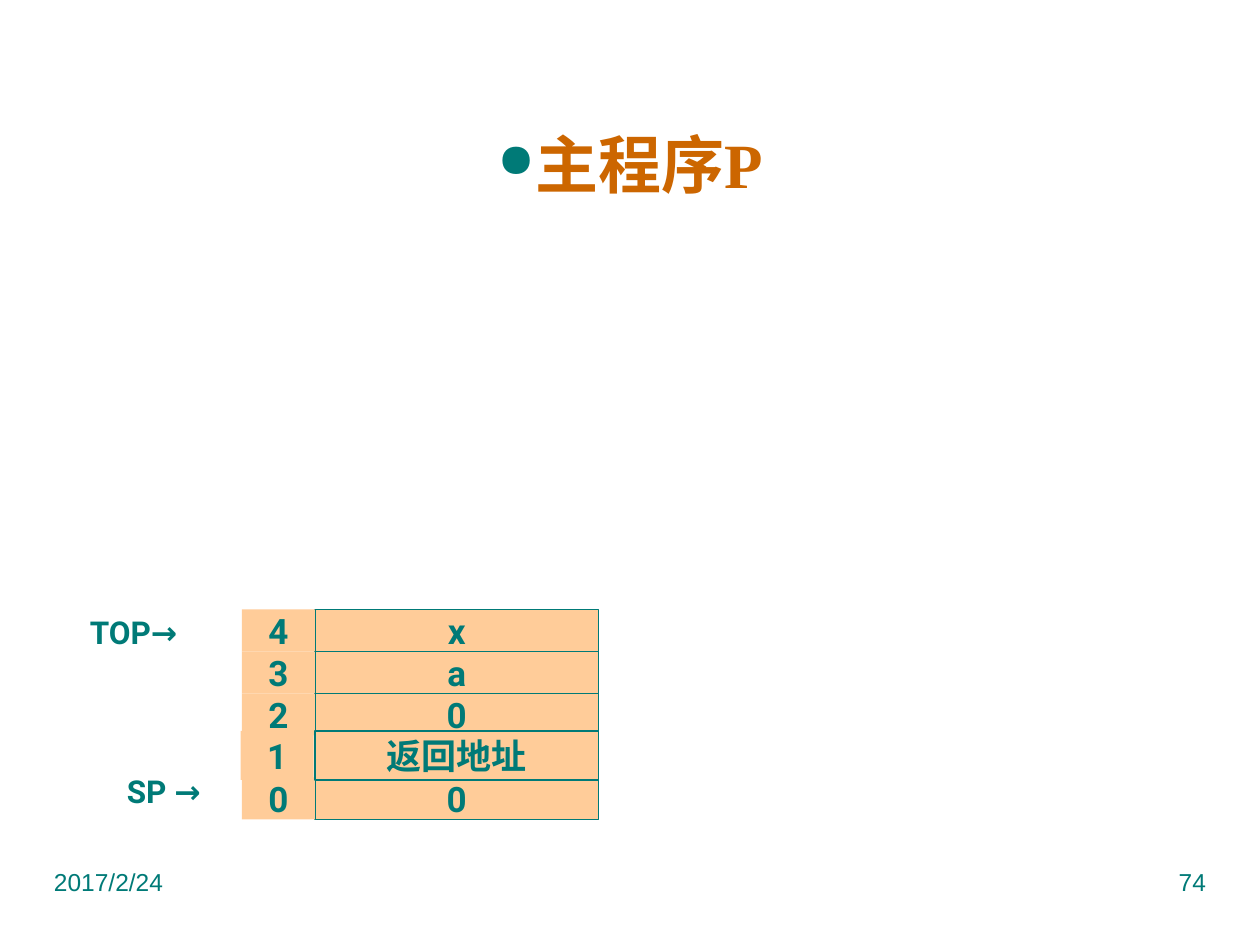
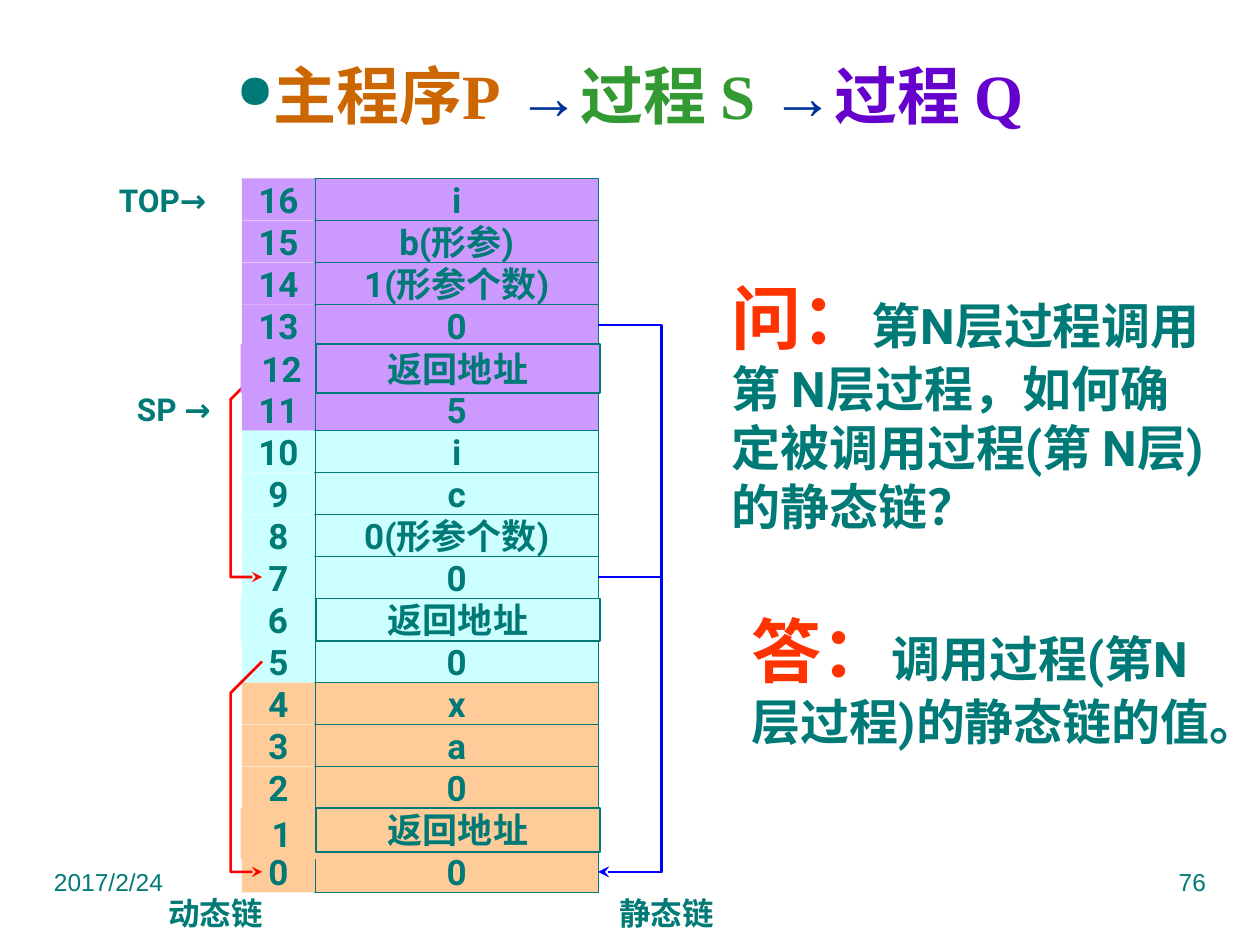
import pptx
import pptx.dml.color
import pptx.enum.shapes
import pptx.enum.text
import pptx.oxml
import pptx.oxml.ns
import pptx.util
from pptx.util import Inches

RGBColor = pptx.dml.color.RGBColor
ALIGN = pptx.enum.text.PP_ALIGN
ANCHOR = pptx.enum.text.MSO_ANCHOR

TEAL = RGBColor(0x00, 0x7A, 0x77)
PEACH = RGBColor(0xFF, 0xCC, 0x99)
AQUA = RGBColor(0xCC, 0xFF, 0xFF)
LILAC = RGBColor(0xCC, 0x99, 0xFF)
ORANGE = RGBColor(0xCC, 0x66, 0x00)
NAVY = RGBColor(0x00, 0x33, 0x99)
GREEN = RGBColor(0x33, 0x99, 0x33)
PURPLE = RGBColor(0x66, 0x00, 0xCC)
SCARLET = RGBColor(0xFF, 0x33, 0x00)
RED = RGBColor(0xFF, 0x00, 0x00)
BLUE = RGBColor(0x00, 0x00, 0xFF)

DATE = "2017/2/24"
RETURN_ADDRESS = "返回地址"
ROW_HEIGHT = 1 / 3
MAIN_FRAME = ["0", RETURN_ADDRESS, "0", "a", "x"]
S_FRAME = ["0", RETURN_ADDRESS, "0", "0(形参个数)", "c", "i"]
Q_FRAME = ["5", RETURN_ADDRESS, "0", "1(形参个数)", "b(形参)", "i"]


def write(para, text, size=20, color=TEAL, font="Roboto", bold=True):
    span = para.add_run()
    span.text = text
    span.font.size = pptx.util.Pt(size)
    span.font.name = font
    span.font.bold = bold
    span.font.color.rgb = color


def add_child(parent, tag, **attributes):
    child = pptx.oxml.parse_xml(f"<a:{tag} {pptx.oxml.ns.nsdecls('a')}/>")
    for name, value in attributes.items():
        child.set(name, value)
    parent.append(child)
    return child


class Page:
    def __init__(self, deck, number):
        self.slide = deck.slides.add_slide(deck.slide_layouts[5])
        self.shapes = self.slide.shapes
        self.text(DATE, 0.33, 6.83, 2.5, 0.52, size=14, font="Arial", bold=False)
        self.text(number, 7.17, 6.83, 2.5, 0.52, align=ALIGN.RIGHT,
                  size=14, font="Arial", bold=False)

    def title(self, parts, left, top, width, height):
        box = self.shapes.title
        box.left, box.top = Inches(left), Inches(top)
        box.width, box.height = Inches(width), Inches(height)
        frame = box.text_frame
        frame.auto_size = pptx.enum.text.MSO_AUTO_SIZE.NONE
        frame.vertical_anchor = ANCHOR.MIDDLE
        para = frame.paragraphs[0]
        para.alignment = ALIGN.CENTER
        properties = para._p.get_or_add_pPr()
        add_child(add_child(properties, "buClr"), "srgbClr", val=str(TEAL))
        add_child(properties, "buSzPct", val="75000")
        add_child(properties, "buChar", char="●")
        for text, color in parts:
            write(para, text, size=36, color=color, font="Times New Roman")

    def text(self, text, left, top, width, height, align=ALIGN.LEFT,
             anchor=ANCHOR.TOP, wrap=True, **style):
        box = self.shapes.add_textbox(Inches(left), Inches(top),
                                      Inches(width), Inches(height))
        frame = box.text_frame
        frame.word_wrap = wrap
        frame.vertical_anchor = anchor
        para = frame.paragraphs[0]
        para.alignment = align
        write(para, text, **style)
        return para

    def caption(self, text, left, top):
        self.text(text, left, top, 1.42, 0.33, align=ALIGN.CENTER,
                  anchor=ANCHOR.MIDDLE, wrap=False, size=18)

    def remark(self, lead, text, left, top, width, height):
        para = self.text(lead, left, top, width, height, size=40, color=SCARLET)
        write(para, text, size=28)

    def cell(self, text, left, top, width, height, fill, outlined):
        box = self.shapes.add_shape(pptx.enum.shapes.MSO_SHAPE.RECTANGLE,
                                    Inches(left), Inches(top),
                                    Inches(width), Inches(height))
        box.shadow.inherit = False
        box.fill.solid()
        box.fill.fore_color.rgb = fill
        if outlined:
            box.line.color.rgb = TEAL
            box.line.width = pptx.util.Pt(1)
        else:
            box.line.fill.background()
        frame = box.text_frame
        frame.word_wrap = False
        frame.vertical_anchor = ANCHOR.MIDDLE
        frame.margin_top = frame.margin_bottom = 0
        para = frame.paragraphs[0]
        para.alignment = ALIGN.CENTER
        write(para, text)

    def stack(self, frames, base):
        rows = [(value, fill) for values, fill in frames for value in values]
        for address, (value, fill) in enumerate(rows):
            if value != RETURN_ADDRESS:
                top = base - address * ROW_HEIGHT
                self.cell(value, 2.5, top, 2.25, ROW_HEIGHT, fill, True)
                self.cell(str(address), 1.92, top, 0.58, ROW_HEIGHT, fill, False)

    def return_row(self, address, fill, top, height, left=2.51,
                   label_width=0.65, label_height=None):
        self.cell(str(address), 1.91, top, label_width, label_height or height,
                  fill, False)
        self.cell(RETURN_ADDRESS, left, top, 2.25, height, fill, True)

    def link(self, points, color):
        corners = [(Inches(x), Inches(y)) for x, y in points]
        builder = self.shapes.build_freeform(*corners[0])
        builder.add_line_segments(corners[1:], close=False)
        path = builder.convert_to_shape()
        path.shadow.inherit = False
        path.fill.background()
        path.line.color.rgb = color
        path.line.width = pptx.util.Pt(1.5)
        add_child(path.line._get_or_add_ln(), "tailEnd", type="stealth")

    def dynamic_link(self, start, end):
        self.link([(2.08, start), (1.83, start + 0.25), (1.83, end), (2.08, end)],
                  RED)

    def static_link(self, start, end):
        self.link([(4.75, start), (5.25, start), (5.25, end), (4.75, end)], BLUE)


def build_main_program(deck):
    page = Page(deck, "74")
    page.stack([(MAIN_FRAME, PEACH)], base=6.17)
    page.caption("SP →", 0.59, 6.11)
    page.caption("TOP→", 0.35, 4.85)
    page.title([("主程序P", ORANGE)], 0.33, 0.67, 9.34, 1.25)
    page.return_row(1, PEACH, 5.8, 0.39, left=2.5, label_width=0.58)


def build_nested_calls(deck):
    page = Page(deck, "76")
    page.stack([(MAIN_FRAME, PEACH), (S_FRAME, AQUA), (Q_FRAME, LILAC)], base=6.75)
    page.caption("SP →", 0.67, 3.08)
    page.caption("TOP→", 0.58, 1.42)
    page.caption("动态链", 1, 7.08)
    page.caption("静态链", 4.58, 7.08)
    page.title([("主程序P", ORANGE), (" →", NAVY), ("过程 S ", GREEN),
                ("→", NAVY), ("过程 Q", PURPLE)], 0.5, 0.3, 9, 0.9)
    page.dynamic_link(5.25, 6.92)
    page.dynamic_link(2.92, 4.58)
    page.static_link(4.58, 6.92)
    page.static_link(2.58, 6.92)
    page.remark("问：", "第N层过程调用第 N层过程，如何确定被调用过程(第 N层) 的静态链？",
                5.71, 2.13, 4.02, 2.17)
    page.remark("答：", "调用过程(第N层过程)的静态链的值。", 5.87, 4.77, 3.86, 1.7)
    page.return_row(6, AQUA, 4.75, 0.34, label_width=0.59)
    page.return_row(12, LILAC, 2.73, 0.39)
    page.return_row(1, PEACH, 6.41, 0.35, label_height=0.41)


def main():
    deck = pptx.Presentation()
    deck.slide_width, deck.slide_height = Inches(10), Inches(7.5)
    build_main_program(deck)
    build_nested_calls(deck)
    deck.save("out.pptx")


if __name__ == "__main__":
    main()
